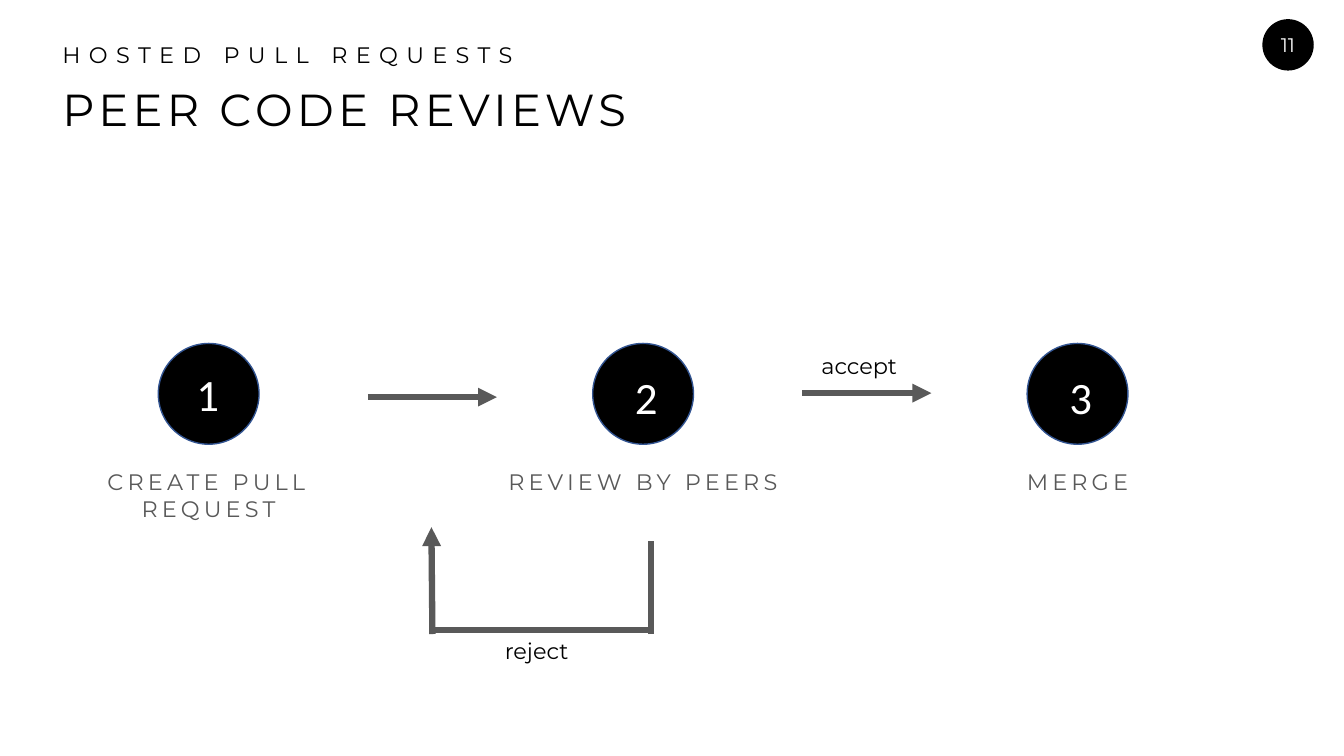
from dataclasses import dataclass

from lxml.etree import SubElement
from pptx import Presentation
from pptx.dml.color import RGBColor
from pptx.enum.shapes import MSO_CONNECTOR as Connector, MSO_SHAPE as Shape
from pptx.enum.text import MSO_ANCHOR as Anchor, MSO_AUTO_SIZE as AutoSize, PP_ALIGN as Align
from pptx.oxml.ns import qn
from pptx.util import Inches, Pt

BLACK = RGBColor(0x00, 0x00, 0x00)
WHITE = RGBColor(0xFF, 0xFF, 0xFF)
GREY = RGBColor(0x59, 0x59, 0x59)
NAVY = RGBColor(0x32, 0x54, 0x91)
WIDTH, HEIGHT = Inches(13.33), Inches(7.5)
COLUMNS, ROWS = 40, 30
STEP_PITCH = 12.93


@dataclass(frozen=True)
class Area:
    """A rectangle in grid columns and rows."""
    left: float
    top: float
    width: float
    height: float

    def emu(self) -> tuple[int, int, int, int]:
        """Return left, top, width and height in slide units."""
        return col(self.left), row(self.top), col(self.width), row(self.height)


@dataclass(frozen=True)
class Style:
    """The look of one line of text."""
    size: float
    color: RGBColor
    face: str = "Montserrat"
    tracking: float = 0
    align: Align = Align.LEFT
    line_spacing: float = 1.0


@dataclass(frozen=True)
class Step:
    """A numbered stage of the review process."""
    number: str
    caption: str
    numeral_left: float
    numeral_top: float


@dataclass(frozen=True)
class Route:
    """A straight stroke between two grid points."""
    start: tuple[float, float]
    end: tuple[float, float]
    arrow: bool = True


@dataclass(frozen=True)
class Outcome:
    """A word beside an arrow."""
    word: str
    area: Area


KICKER = Style(16, BLACK, tracking=6, line_spacing=0.9)
HEADLINE = Style(32, BLACK, tracking=3, line_spacing=0.9)
PAGE = Style(14, WHITE, align=Align.CENTER)
CAPTION = Style(16, GREY, tracking=3, align=Align.CENTER)
NUMERAL = Style(32, WHITE, face="Calibri")
OUTCOME = Style(16, BLACK)

STEPS = [
    Step("1", "CREATE PULL REQUEST", 5.55, 14.36),
    Step("2", "REVIEW BY PEERS", 18.6, 14.48),
    Step("3", "MERGE", 31.53, 14.48),
]
FORWARD = [Route((10.95, 15.76), (14.79, 15.76)), Route((23.88, 15.6), (27.72, 15.6))]
RETURN_LOOP = [
    Route((12.87, 25.16), (12.84, 20.92)),
    Route((19.38, 25), (12.84, 25), arrow=False),
    Route((19.38, 25.16), (19.38, 21.48), arrow=False),
]
OUTCOMES = [
    Outcome("accept", Area(24.15, 13.76, 2.91, 1.48)),
    Outcome("reject", Area(14.73, 25.08, 2.52, 1.48)),
]


def col(columns: float) -> int:
    """Convert grid columns to slide units."""
    return round(WIDTH * columns / COLUMNS)


def row(rows: float) -> int:
    """Convert grid rows to slide units."""
    return round(HEIGHT * rows / ROWS)


def write(frame, words: str, style: Style, wrap: bool = True) -> None:
    """Fill a text frame with one styled paragraph."""
    frame.word_wrap = wrap
    frame.auto_size = AutoSize.NONE
    paragraph = frame.paragraphs[0]
    run = paragraph.add_run()
    run.text = words
    if style.tracking:
        run._r.get_or_add_rPr().set("spc", str(round(style.tracking * 100)))
    paragraph.alignment = style.align
    paragraph.line_spacing = style.line_spacing
    paragraph.space_before = Pt(0)
    font = paragraph.font
    font.name, font.size, font.bold = style.face, Pt(style.size), False
    font.color.rgb = style.color


def add_label(shapes, area: Area, words: str, style: Style, wrap: bool = True) -> None:
    """Add a text box holding one label."""
    write(shapes.add_textbox(*area.emu()).text_frame, words, style, wrap)


def fill_heading(placeholder, area: Area, words: str, style: Style) -> None:
    """Move a placeholder and give it plain, unbulleted text."""
    placeholder.left, placeholder.top, placeholder.width, placeholder.height = area.emu()
    frame = placeholder.text_frame
    frame.vertical_anchor = Anchor.TOP
    properties = frame.paragraphs[0]._p.get_or_add_pPr()
    properties.set("marL", "0")
    properties.set("indent", "0")
    SubElement(properties, qn("a:buNone"))
    write(frame, words, style)


def add_disc(shapes, area: Area):
    """Add a black disc without outline or shadow."""
    disc = shapes.add_shape(Shape.OVAL, *area.emu())
    disc.shadow.inherit = False
    disc.fill.solid()
    disc.fill.fore_color.rgb = BLACK
    disc.line.fill.background()
    return disc


def add_page_badge(shapes, number: str) -> None:
    """Add the page number on its disc."""
    frame = add_disc(shapes, Area(37.57, 0.76, 1.53, 2.04)).text_frame
    frame.margin_left = frame.margin_right = frame.margin_top = frame.margin_bottom = 0
    frame.vertical_anchor = Anchor.MIDDLE
    write(frame, number, PAGE, wrap=False)


def add_step(shapes, index: int, step: Step) -> None:
    """Add one grouped stage: caption, disc and numeral."""
    members = shapes.add_group_shape().shapes
    shift = index * STEP_PITCH
    add_label(members, Area(1.86 + shift, 18.38, 8.7, 2.56), step.caption, CAPTION)
    disc = add_disc(members, Area(4.71 + shift, 13.63, 3, 4))
    disc.line.color.rgb = NAVY
    disc.line.width = Pt(1)
    numeral_area = Area(step.numeral_left, step.numeral_top, 1.29, 2.56)
    add_label(members, numeral_area, step.number, NUMERAL, wrap=False)


def add_route(shapes, route: Route) -> None:
    """Add a thick grey stroke, with an arrowhead if asked."""
    (x1, y1), (x2, y2) = route.start, route.end
    stroke = shapes.add_connector(Connector.STRAIGHT, col(x1), row(y1), col(x2), row(y2))
    stroke.line.color.rgb = GREY
    stroke.line.width = Pt(4.5)
    if route.arrow:
        SubElement(stroke.line._get_or_add_ln(), qn("a:tailEnd"), type="triangle")
    SubElement(stroke._element.spPr, qn("a:effectLst"))


def main() -> None:
    """Build and save the peer review slide."""
    deck = Presentation()
    deck.slide_width, deck.slide_height = WIDTH, HEIGHT
    slide = deck.slides.add_slide(deck.slide_layouts[1])
    shapes = slide.shapes
    add_page_badge(shapes, "11")
    fill_heading(slide.placeholders[1], Area(1.56, 1.56, 32.14, 1.36), "HOSTED PULL REQUESTS", KICKER)
    fill_heading(shapes.title, Area(1.56, 3.28, 31.96, 2.56), "PEER CODE REVIEWS", HEADLINE)
    for index, step in enumerate(STEPS):
        add_step(shapes, index, step)
    for route in FORWARD:
        add_route(shapes, route)
    loop = shapes.add_group_shape().shapes
    for route in RETURN_LOOP:
        add_route(loop, route)
    for outcome in OUTCOMES:
        add_label(shapes, outcome.area, outcome.word, OUTCOME, wrap=False)
    deck.save("out.pptx")


if __name__ == "__main__":
    main()
